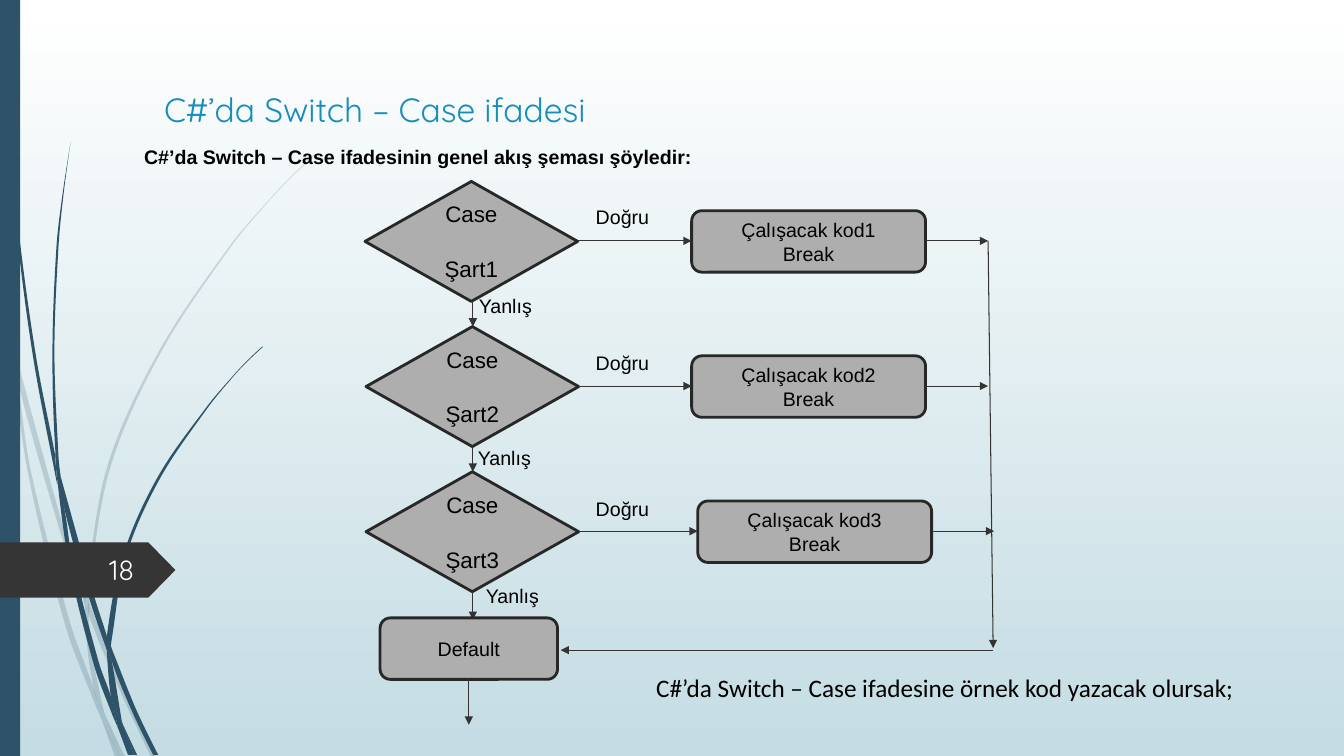
from math import hypot

from pptx import Presentation
from pptx.dml.color import RGBColor
from pptx.enum import shapes as sh, text as tx
from pptx.oxml import parse_xml
from pptx.oxml.ns import nsdecls, qn
from pptx.util import Inches, Pt

COLORS = {
    "top": "FFFFFF", "base": "C4DCE3", "teal": "2E5369", "tag": "353535",
    "number": "FEFFFF", "title": "168DBA", "ink": "000000",
    "node": "AEAEAE", "edge": "272727", "arrow": "343434",
}

# Each blade is a ring of knots; a curve is drawn through them.
PALE = [
    [(.11, 3.5), (.09, 3.22), (0, 2.82), (0, 2.99), (.1, 3.44)],
    [(.58, 5.22), (.84, 5.99), (.85, 5.86), (.62, 5.2), (.14, 3.45), (.17, 3.76)],
    [(.92, 6.07), (.88, 5.96), (.88, 6.1), (1.23, 6.94), (1.5, 7.51), (1.55, 7.51), (1.27, 6.92)],
    [(1.19, 7.51), (1.24, 7.51), (1.05, 7.11)],
    [(.93, 6.83), (.7, 6.19), (.31, 4.69), (.17, 3.76), (.11, 3.5), (.28, 4.7), (.65, 6.21),
     (.92, 6.93), (1.01, 7.14), (.99, 7.07)],
    [(.84, 5.99), (.87, 6.46), (.93, 6.83), (.96, 6.92), (1.05, 7.11), (1.03, 7.06),
     (.91, 6.46), (.88, 6.1), (.88, 6.08)],
    [(.88, 5.84), (1.1, 4.62), (1.6, 3.49), (2.29, 2.45), (2.68, 1.98), (2.9, 1.75), (3.12, 1.54),
     (3.12, 1.53), (2.89, 1.75), (2.68, 1.97), (2.28, 2.44), (1.58, 3.48), (1.07, 4.61),
     (.85, 5.84), (.85, 5.86), (.88, 5.96)],
    [(1.01, 7.14), (1.14, 7.51), (1.19, 7.51)],
    [(.88, 6.08), (.88, 6.1), (.88, 5.96), (.85, 5.86), (.84, 5.99)],
    [(.96, 6.92), (.93, 6.83), (.99, 7.07), (1.01, 7.14), (1.19, 7.51), (1.05, 7.11)],
]
DARK = [
    [(.07, 1.1), (.17, 2.33), (.33, 3.55), (.56, 4.77), (.57, 4.81), (.55, 4.57), (.55, 4.53),
     (.36, 3.55), (.19, 2.32), (.08, 1.09), (.05, .48), (.04, 0), (.03, 0), (.04, .48)],
    [(.88, 5.92), (1.06, 6.45), (1.06, 6.33), (1.06, 6.31), (.93, 5.9), (.6, 4.72), (.64, 5.05)],
    [(1.13, 6.49), (1.1, 6.41), (1.11, 6.56), (1.32, 7.08), (1.52, 7.49), (1.57, 7.49),
     (1.36, 7.06)],
    [(1.1, 6.91), (.98, 6.57), (.72, 5.56), (.64, 5.05), (.57, 4.77), (.68, 5.57), (.93, 6.59),
     (1.11, 7.08), (1.17, 7.22), (1.16, 7.17)],
    [(.6, 4.72), (.58, 4.53), (.54, 3.49), (.58, 2.45), (.63, 1.93), (.7, 1.41), (.62, 1.93),
     (.56, 2.45), (.52, 3.49), (.55, 4.49)],
    [(1.33, 7.49), (1.36, 7.49), (1.22, 7.19)],
    [(.57, 4.77), (.64, 5.05), (.6, 4.72), (.55, 4.49), (.55, 4.53)],
    [(1.11, 6.33), (1.25, 5.52), (1.58, 4.76), (2.05, 4.06), (2.31, 3.74), (2.45, 3.59),
     (2.61, 3.44), (2.6, 3.44), (2.45, 3.58), (2.31, 3.73), (2.04, 4.05), (1.56, 4.74),
     (1.22, 5.51), (1.06, 6.31), (1.1, 6.41)],
    [(1.17, 7.22), (1.27, 7.49), (1.31, 7.49)],
    [(1.06, 6.45), (1.1, 6.91), (1.16, 7.06), (1.22, 7.19), (1.21, 7.16), (1.11, 6.56),
     (1.09, 6.51)],
    [(1.06, 6.45), (1.09, 6.51), (1.11, 6.56), (1.1, 6.41), (1.06, 6.31), (1.06, 6.33)],
    [(1.16, 7.06), (1.1, 6.91), (1.16, 7.17), (1.17, 7.22), (1.3, 7.49), (1.33, 7.49),
     (1.22, 7.19)],
]


def paint(part, color):
    part.fill.solid()
    part.fill.fore_color.rgb = RGBColor.from_string(COLORS[color])
    part.line.fill.background()
    part.shadow.inherit = False


def write(part, lines, size, font="Arial", color="ink", align=tx.PP_ALIGN.LEFT,
          bold=False, gap=0):
    """Put one run in each paragraph, with gap points between paragraphs."""
    frame = part.text_frame
    for i, line in enumerate(lines):
        para = frame.paragraphs[0] if i == 0 else frame.add_paragraph()
        para.alignment = align
        if i and gap:
            para.space_before = Pt(gap)
        run = para.add_run()
        run.text = line
        run.font.size, run.font.name, run.font.bold = Pt(size), font, bold
        run.font.color.rgb = RGBColor.from_string(COLORS[color])


def label(slide, box, line, size, wrap=True, **style):
    part = slide.shapes.add_textbox(*map(Inches, box))
    part.text_frame.word_wrap = wrap
    write(part, [line], size, **style)
    return part


def node(slide, kind, box, lines, size, gap=0):
    part = slide.shapes.add_shape(kind, *map(Inches, box))
    paint(part, "node")
    part.line.color.rgb = RGBColor.from_string(COLORS["edge"])
    part.line.width = Pt(2)
    part.text_frame.word_wrap = True
    part.text_frame.vertical_anchor = tx.MSO_ANCHOR.MIDDLE
    write(part, lines, size, align=tx.PP_ALIGN.CENTER, gap=gap)


def arrow(slide, *ends):
    part = slide.shapes.add_connector(sh.MSO_CONNECTOR.STRAIGHT, *map(Inches, ends))
    part.line.color.rgb = RGBColor.from_string(COLORS["arrow"])
    part.line.width = Pt(0.75)
    part.line._get_or_add_ln().append(
        parse_xml(f'<a:tailEnd {nsdecls("a")} type="triangle"/>'))
    part._element.spPr.append(parse_xml(f'<a:effectLst {nsdecls("a")}/>'))


def slope(a, b, c):
    """Return the unit tangent at knot b, or zero where the ring has a corner."""
    ux, uy, vx, vy = b[0] - a[0], b[1] - a[1], c[0] - b[0], c[1] - b[1]
    if ux * vx + uy * vy < 0.7 * hypot(ux, uy) * hypot(vx, vy):
        return 0, 0
    size = hypot(ux + vx, uy + vy)
    return (ux + vx) / size, (uy + vy) / size


def bend(part):
    """Turn the straight sides of a closed outline into smooth curves."""
    sides = list(part._element.spPr.iter(qn("a:lnTo")))
    knots = [(int(s[0].get("x")), int(s[0].get("y"))) for s in sides]
    count = len(knots)
    slopes = [slope(knots[i - 1], knots[i], knots[(i + 1) % count]) for i in range(count)]
    for i, side in enumerate(sides):
        (x, y), (p, q) = knots[i - 1], knots[i]
        reach = hypot(p - x, q - y) / 3
        (a, b), (c, d) = slopes[i - 1], slopes[i]
        pulls = (x + a * reach, y + b * reach), (p - c * reach, q - d * reach)
        for n, (h, v) in enumerate(pulls):
            side.insert(n, parse_xml(f'<a:pt {nsdecls("a")} x="{round(h)}" y="{round(v)}"/>'))
        side.tag = qn("a:cubicBezTo")


def plant(slide, blades, alpha):
    group = slide.shapes.add_group_shape()
    for blade in blades:
        ring = [(Inches(x), Inches(y)) for x, y in blade]
        pen = group.shapes.build_freeform(*ring[0])
        pen.add_line_segments(ring[1:] + ring[:1], close=True)
        part = pen.convert_to_shape()
        bend(part)
        paint(part, "teal")
        if alpha < 100:
            tone = part._element.spPr.find(qn("a:solidFill"))[0]
            tone.append(parse_xml(f'<a:alpha {nsdecls("a")} val="{alpha * 1000}"/>'))


def backdrop(slide, height):
    fill = slide.background.fill
    fill.gradient()
    fill.gradient_angle = 270
    for stop, name in zip(fill.gradient_stops, ("top", "base")):
        stop.color.rgb = RGBColor.from_string(COLORS[name])
    plant(slide, PALE, 20)
    plant(slide, DARK, 100)
    bar = slide.shapes.add_shape(sh.MSO_SHAPE.RECTANGLE, 0, 0, Inches(0.2), Inches(height))
    paint(bar, "teal")
    tag = slide.shapes.add_shape(sh.MSO_SHAPE.PENTAGON, 0, Inches(5.38),
                                 Inches(1.74), Inches(0.55))
    tag.adjustments[0] = 0.49
    paint(tag, "tag")
    page = label(slide, (0.58, 5.45, 0.85, 0.4), "18", 20, font="Quicksand",
                 color="number", align=tx.PP_ALIGN.RIGHT)
    page.text_frame.vertical_anchor = tx.MSO_ANCHOR.MIDDLE


def flow(slide, x, y):
    """Draw the switch chart with its top left corner at x, y."""
    wide, tall, pitch = 2.11, 1.19, 1.44
    code_w, code_h = 2.32, 0.61
    mid, rail = x + 1.07, x + 6.18
    block = sh.MSO_SHAPE.ROUNDED_RECTANGLE
    noes = ((1.03, 1.07), (1.02, 2.57), (1.1, 3.94))
    for i, (dx, dy) in enumerate(noes):
        top = y + i * pitch
        row = top + 0.59
        left = x + (0.01 if i else 0)
        shift = 0.06 if i == 2 else 0
        code = x + 3.24 + shift
        node(slide, sh.MSO_SHAPE.DIAMOND, (left, top, wide, tall),
             ["Case", f"Şart{i + 1}"], 16, gap=20)
        node(slide, block, (code, row - 0.3, code_w, code_h),
             [f"Çalışacak kod{i + 1}", "Break"], 14)
        arrow(slide, left + wide, row, code, row)
        arrow(slide, code + code_w, row, rail + shift, row)
        arrow(slide, mid, top + tall, mid, top + (1.47 if i == 2 else pitch))
        label(slide, (x + 2.19, y + 0.18 + 1.45 * i, 0.95, 0.4), "Doğru", 14, wrap=False)
        label(slide, (x + dx, y + dy, 0.88, 0.4), "Yanlış", 14, wrap=False)
    node(slide, block, (x + 0.15, y + 4.33, 1.76, code_h), ["Default"], 14)
    end = y + 4.65
    arrow(slide, rail, y + 0.59, rail + 0.05, end - 0.02)
    arrow(slide, rail + 0.05, end, x + 1.94, end)
    arrow(slide, x + 1.03, y + 4.93, x + 1.03, y + 5.39)


def main():
    deck = Presentation()
    width, height = 13.33, 7.5
    deck.slide_width, deck.slide_height = Inches(width), Inches(height)
    slide = deck.slides.add_slide(deck.slide_layouts[6])
    backdrop(slide, height)
    label(slide, (1.53, 0.83, 10.88, 1.45), "C#’da Switch – Case ifadesi", 24,
          font="Quicksand", color="title")
    label(slide, (1.33, 1.39, 10.35, 0.34),
          "C#’da Switch – Case ifadesinin genel akış şeması şöyledir:", 14, bold=True)
    flow(slide, 3.62, 1.8)
    note = label(slide, (6.41, 6.6, 6.67, 0.41),
                 "C#’da Switch – Case ifadesine örnek kod yazacak olursak;", 18, font="Calibri")
    para = note.text_frame.paragraphs[0]
    para.line_spacing, para.space_after = 1.07, Pt(8)
    deck.save("out.pptx")


if __name__ == "__main__":
    main()
